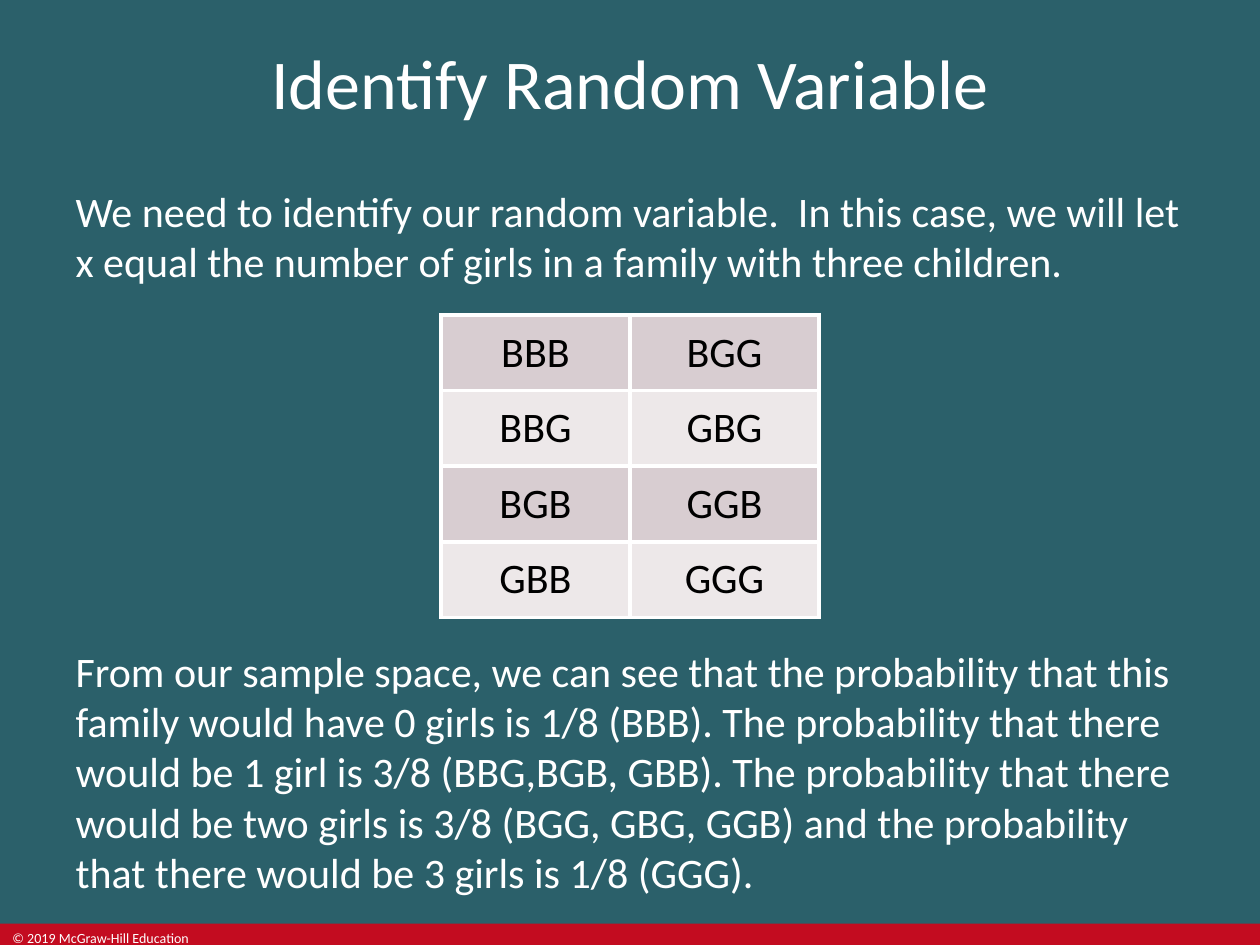
import lxml.etree
import pptx
import pptx.dml.color
import pptx.enum.shapes
import pptx.enum.text
import pptx.oxml.ns
import pptx.util

Inches = pptx.util.Inches
Pt = pptx.util.Pt
ALIGN = pptx.enum.text.PP_ALIGN
ANCHOR = pptx.enum.text.MSO_ANCHOR

WHITE = "FFFFFF"
TEAL = "2B606A"
RED = "C30C20"
BANDS = ["D8CDD1", "EDE8E9"]

TITLE = "Identify Random Variable"
INTRO = ("We need to identify our random variable.  In this case, we will let "
         "x equal the number of girls in a family with three children.")
OUTCOMES = [("BBB", "BGG"), ("BBG", "GBG"), ("BGB", "GGB"), ("GBB", "GGG")]
CONCLUSION = (
    "From our sample space, we can see that the probability that this family "
    "would have 0 girls is 1/8 (BBB). The probability that there would be "
    "1 girl is 3/8 (BBG,BGB, GBB). The probability that there would be two "
    "girls is 3/8 (BGG, GBG, GGB) and the probability that there would be "
    "3 girls is 1/8 (GGG).")
COPYRIGHT = "© 2019 McGraw-Hill Education"


def set_fill(fill, color):
    fill.solid()
    fill.fore_color.rgb = pptx.dml.color.RGBColor.from_string(color)


def sub(parent, tag, **attrs):
    return lxml.etree.SubElement(parent, pptx.oxml.ns.qn(tag), attrs)


def write(tf, text, size=24, color=WHITE, align=ALIGN.LEFT, anchor=ANCHOR.TOP):
    """Fill a text frame with one unbulleted paragraph."""
    tf.word_wrap = True
    tf.vertical_anchor = anchor
    p = tf.paragraphs[0]
    pPr = p._p.get_or_add_pPr()
    pPr.set("marL", "0")
    pPr.set("indent", "0")
    sub(pPr, "a:buNone")
    p.alignment = align
    p.space_before = Pt(0)
    r = p.add_run()
    r.text = text
    r.font.name = "Calibri"
    r.font.size = Pt(size)
    set_fill(r.font.fill, color)


def place(sp, left, top, width, height):
    sp.left, sp.top = Inches(left), Inches(top)
    sp.width, sp.height = Inches(width), Inches(height)
    sp.text_frame.auto_size = pptx.enum.text.MSO_AUTO_SIZE.NONE


def add_footer(s):
    bar = s.shapes.add_shape(pptx.enum.shapes.MSO_SHAPE.RECTANGLE,
                             0, Inches(7.33), Inches(10), Inches(0.17))
    bar.shadow.inherit = False
    set_fill(bar.fill, RED)
    bar.line.fill.background()
    box = s.shapes.add_textbox(0, Inches(7.33), Inches(1.7), Inches(0.17))
    write(box.text_frame, COPYRIGHT, size=8)


def set_borders(cell, color, width):
    tcPr = cell._tc.get_or_add_tcPr()
    for tag in ("a:lnL", "a:lnR", "a:lnT", "a:lnB"):
        ln = sub(tcPr, tag, w=str(Pt(width)))
        sub(sub(ln, "a:solidFill"), "a:srgbClr", val=color)


def add_outcome_table(s):
    table = s.shapes.add_table(len(OUTCOMES), 2, Inches(3.5), Inches(2.5),
                               Inches(3), Inches(2.4)).table
    table.first_row = False
    for i, row in enumerate(OUTCOMES):
        for j, outcome in enumerate(row):
            cell = table.cell(i, j)
            set_borders(cell, WHITE, 2.25)
            set_fill(cell.fill, BANDS[i % 2])
            write(cell.text_frame, outcome, color="000000", align=ALIGN.CENTER)
            cell.vertical_anchor = ANCHOR.MIDDLE


def main():
    prs = pptx.Presentation()
    prs.slide_width, prs.slide_height = Inches(10), Inches(7.5)
    s = prs.slides.add_slide(prs.slide_layouts.get_by_name("Two Content"))
    set_fill(s.background.fill, TEAL)

    title, intro, conclusion = s.placeholders
    place(title, 0, 0, 10, 1.3)
    write(title.text_frame, TITLE, size=40, align=ALIGN.CENTER,
          anchor=ANCHOR.MIDDLE)
    place(intro, 0.5, 1.42, 9, 1)
    write(intro.text_frame, INTRO)
    place(conclusion, 0.5, 5.07, 9, 2.1)
    write(conclusion.text_frame, CONCLUSION)

    add_outcome_table(s)
    add_footer(s)
    prs.save("out.pptx")


if __name__ == "__main__":
    main()
